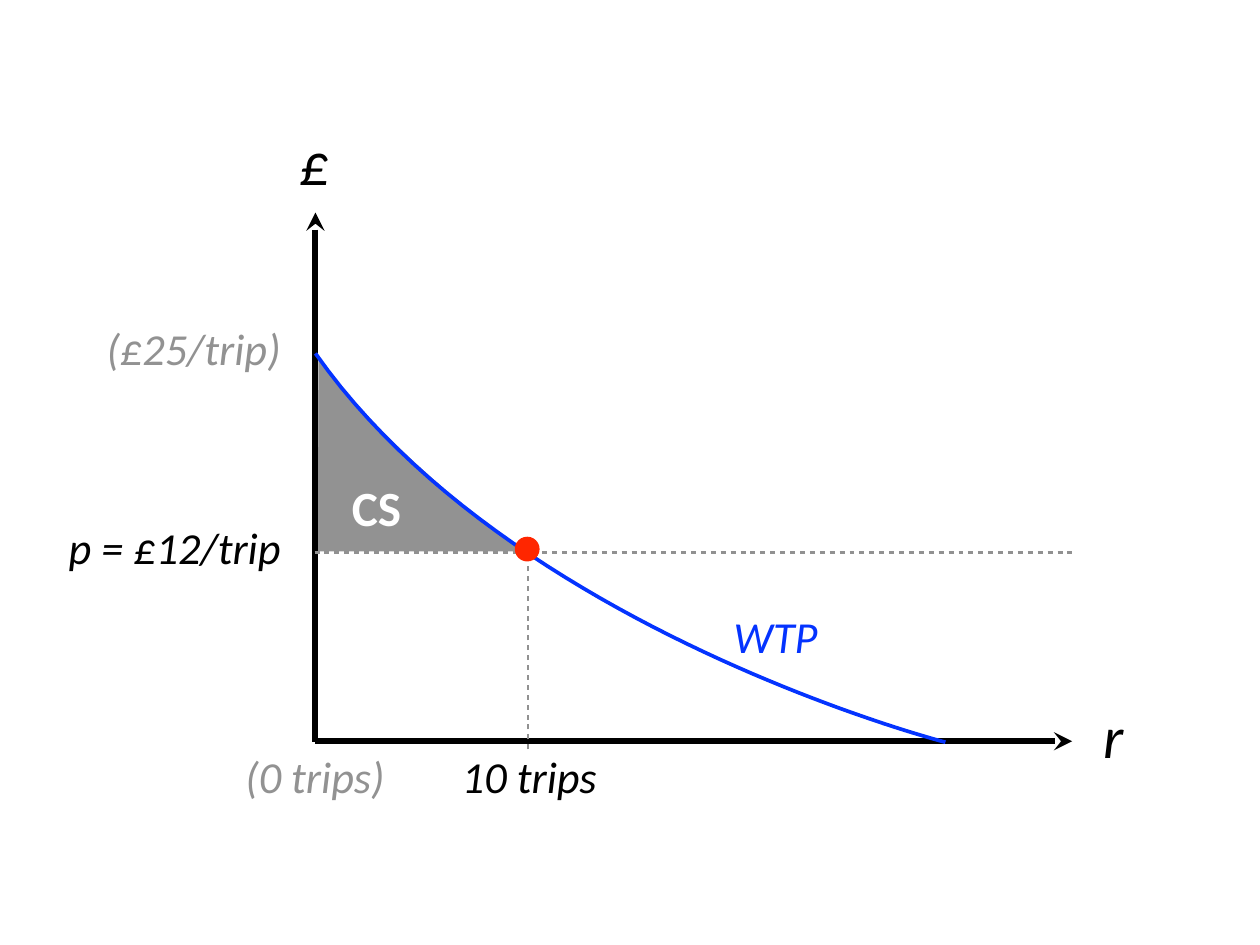
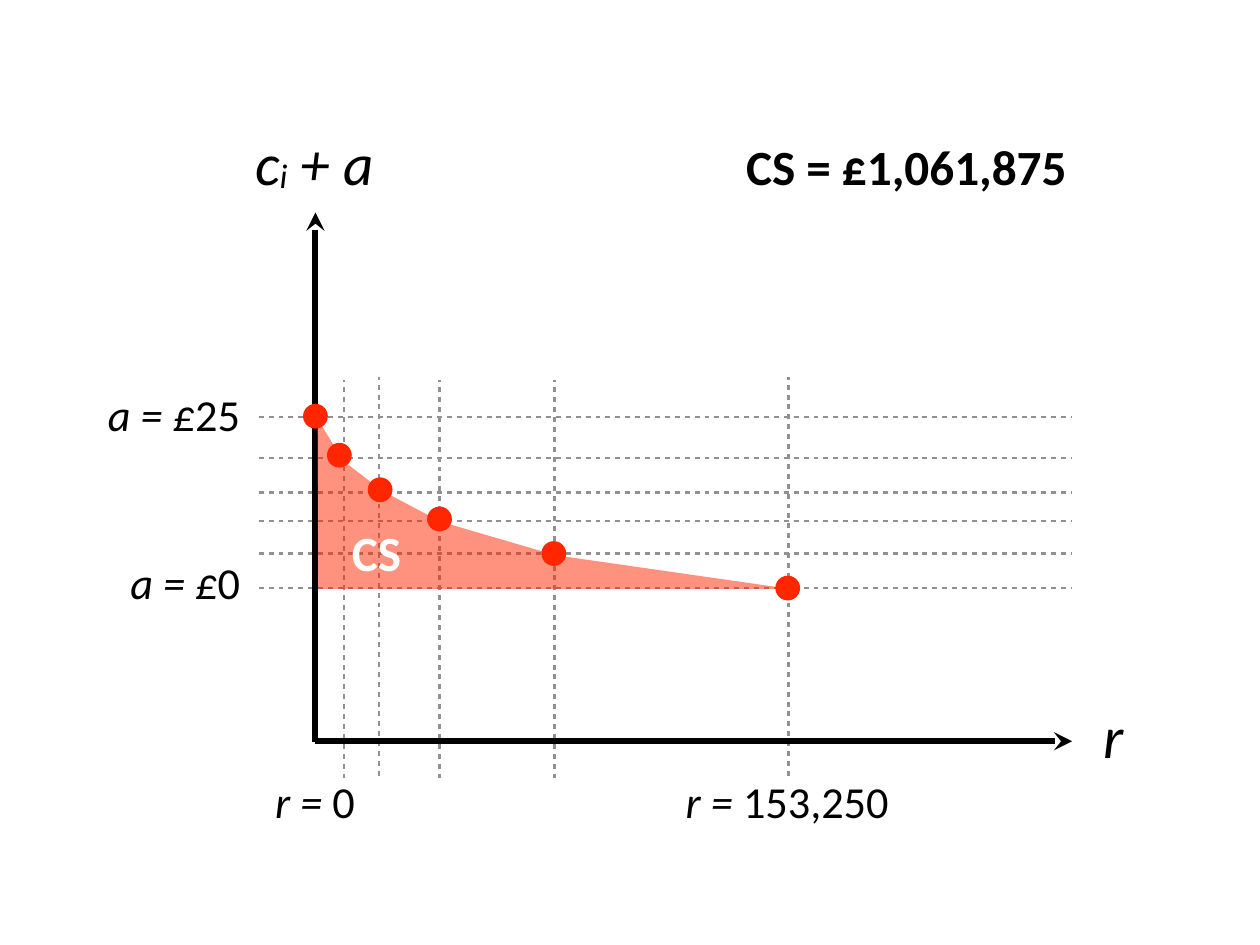
"""Builds two slides on consumer surplus under a demand curve."""
from dataclasses import dataclass

from lxml import etree
from pptx import Presentation
from pptx.dml.color import RGBColor
from pptx.enum.shapes import MSO_CONNECTOR, MSO_SHAPE
from pptx.enum.text import MSO_ANCHOR, PP_ALIGN
from pptx.oxml.ns import qn
from pptx.util import Pt

PX = 9144
STRAIGHT = MSO_CONNECTOR.STRAIGHT
OVAL = MSO_SHAPE.OVAL
MIDDLE = MSO_ANCHOR.MIDDLE
LEFT, CENTER, RIGHT = PP_ALIGN.LEFT, PP_ALIGN.CENTER, PP_ALIGN.RIGHT


@dataclass(frozen=True)
class Theme:
    font: str = "Calibri"
    black: str = "000000"
    white: str = "FFFFFF"
    gray: str = "929292"
    guide: str = "919191"
    blue: str = "0433FF"
    red: str = "FF2600"
    label: int = 36
    strong: int = 40
    axis: int = 48
    guide_w: int = 2
    curve_w: int = 3
    axis_w: int = 5


T = Theme()
UPRIGHT = {"italic": False}
AXIS = {"size": Pt(T.axis)}
STRONG = {"size": Pt(T.strong), "bold": True, "italic": False}

ORIGIN_X, ORIGIN_Y = 356, 837
AXIS_TOP, AXIS_RIGHT = 240, 1210
DOT = 28

WTP_CURVE = [(356, 399), (576, 712), (1067, 838), (1067, 838)]
SURPLUS_EDGE = [(358, 399), (358, 399), (424, 498), (594, 624)]
SURPLUS_CORNER = (357, 624)

DEMAND_DOTS = [(889, 664), (356, 470), (625, 625), (496, 586), (429, 553), (383, 514)]
DEMAND_AREA = [(358, 472), (387, 520), (431, 554), (497, 589), (627, 627),
               (892, 665), (359, 665)]
TRIP_GUIDES = [(890, 426), (626, 429), (496, 429), (428, 426), (388, 429)]
FEE_GUIDES = [664, 471, 517, 556, 588, 625]
GUIDE_LEFT, GUIDE_HEIGHT = 292, 450


def emu(*values):
    """Turn px lengths into EMU."""
    return [round(v * PX) for v in values]


def rgb(value):
    """Turn a hex string into a colour."""
    return RGBColor.from_string(value)


def add_ln_child(sp, tag, **attrs):
    """Append an element to the outline of a shape."""
    return etree.SubElement(sp.line._get_or_add_ln(), qn(tag), attrs)


def add_line(s, start, end, color, width):
    """Draw a straight line without a shadow."""
    sp = s.shapes.add_connector(STRAIGHT, *emu(*start, *end))
    sp.line.color.rgb = rgb(color)
    sp.line.width = Pt(width)
    etree.SubElement(sp._element.spPr, qn("a:effectLst"))
    return sp


def add_guide(s, start, end):
    """Draw a dashed guide line."""
    sp = add_line(s, start, end, T.guide, T.guide_w)
    dash = add_ln_child(sp, "a:custDash")
    etree.SubElement(dash, qn("a:ds"), d="200000", sp="200000")


def add_text(s, box, runs, align=CENTER, color=T.black, spacing=0.8, wrap=True, **base):
    """Write one paragraph made of (text, format) runs."""
    sp = s.shapes.add_textbox(*emu(*box))
    tf = sp.text_frame
    margins = {f"margin_{side}": PX * 6 for side in ("left", "top", "right", "bottom")}
    for name, value in {**margins, "vertical_anchor": MIDDLE, "word_wrap": wrap}.items():
        setattr(tf, name, value)
    p = tf.paragraphs[0]
    p.alignment = align
    p.line_spacing = spacing
    for text, changes in runs:
        r = p.add_run()
        r.text = text
        r.font.color.rgb = rgb(color)
        fmt = {"name": T.font, "size": Pt(T.label), "italic": True, **base, **changes}
        baseline = fmt.pop("baseline", None)
        for name, value in fmt.items():
            setattr(r.font, name, value)
        if baseline:
            r._r.get_or_add_rPr().set("baseline", baseline)


def add_label(s, box, text, *tail, **fmt):
    """Write an italic label, with an upright tail if given."""
    add_text(s, box, [(text, {})] + [(part, UPRIGHT) for part in tail], **fmt)


def add_freeform(s, points, close, fill=None, alpha=None, line=None, width=0):
    """Draw an outline through px points."""
    pts = [tuple(emu(*point)) for point in points]
    builder = s.shapes.build_freeform(*pts[0])
    builder.add_line_segments(pts[1:], close=close)
    sp = builder.convert_to_shape()
    sp.shadow.inherit = False
    if fill:
        sp.fill.solid()
        sp.fill.fore_color.rgb = rgb(fill)
    else:
        sp.fill.background()
    if alpha:
        color = sp._element.spPr.find(qn("a:solidFill"))[0]
        etree.SubElement(color, qn("a:alpha"), val=str(alpha * 1000))
    if line:
        sp.line.color.rgb = rgb(line)
        sp.line.width = Pt(width)
    else:
        sp.line.fill.background()


def bezier(controls, steps=48):
    """Sample a cubic curve."""
    points = []
    for i in range(steps + 1):
        t = i / steps
        weights = ((1 - t) ** 3, 3 * t * (1 - t) ** 2, 3 * t * t * (1 - t), t ** 3)
        points.append(tuple(sum(w * c[k] for w, c in zip(weights, controls)) for k in (0, 1)))
    return points


def add_dot(s, x, y):
    """Mark a point with a red dot."""
    sp = s.shapes.add_shape(OVAL, *emu(x - DOT / 2, y - DOT / 2, DOT, DOT))
    sp.shadow.inherit = False
    sp.fill.solid()
    sp.fill.fore_color.rgb = rgb(T.red)
    sp.line.fill.background()


def add_axes(s, y_runs, y_width):
    """Draw both axes with their names."""
    for tip, foot in (((ORIGIN_X, AXIS_TOP), (ORIGIN_X, ORIGIN_Y + 1)),
                      ((AXIS_RIGHT, ORIGIN_Y), (ORIGIN_X, ORIGIN_Y))):
        sp = add_line(s, tip, foot, T.black, T.axis_w)
        add_ln_child(sp, "a:headEnd", type="stealth", w="med", len="med")
    add_text(s, (ORIGIN_X - 1 - y_width / 2, 151, y_width, 78), y_runs, **AXIS)
    add_label(s, (1239, 798, 89, 78), "r", align=LEFT, **AXIS)


def add_surplus_label(s, y):
    """Name the surplus area."""
    add_label(s, (387, y, 76, 67), "CS", color=T.white, spacing=1.0, wrap=False, **STRONG)


def build_single_trip(s):
    """Surplus of one visitor above the price paid."""
    add_freeform(s, bezier(SURPLUS_EDGE) + [SURPLUS_CORNER], True,
                 fill=T.gray, line=T.white, width=T.guide_w)
    add_surplus_label(s, 539)
    add_axes(s, [("£", {})], 126)
    add_label(s, (507, 851, 181, 61), "10 trips")
    add_freeform(s, bezier(WTP_CURVE), False, line=T.blue, width=T.curve_w)
    add_guide(s, (596, 846), (596, 623))
    add_label(s, (61, 592, 262, 61), "p = £12/trip", align=RIGHT)
    add_label(s, (94, 368, 229, 61), "(£25/trip)", align=RIGHT, color=T.gray)
    add_label(s, (265, 851, 181, 61), "(0 trips)", color=T.gray)
    add_guide(s, (355, 624), (AXIS_RIGHT, 624))
    add_dot(s, 595, 620)
    add_label(s, (822, 693, 262, 61), "WTP", align=LEFT, color=T.blue)


def build_all_trips(s):
    """Total surplus under the stepwise demand curve."""
    for x, top in TRIP_GUIDES:
        add_guide(s, (x, top + GUIDE_HEIGHT), (x, top))
    for y in FEE_GUIDES:
        add_guide(s, (GUIDE_LEFT, y), (AXIS_RIGHT, y))
    add_axes(s, [("c", {}), ("i", {"baseline": "-6000"}), (" + a", {})], 193)
    for y, fee in ((632, "0"), (442, "25")):
        add_label(s, (96, y, 181, 61), "a = £", fee, align=RIGHT)
    for x, width, trips in ((740, 297, "153,250"), (296, 119, "0")):
        add_label(s, (x, 879, width, 61), "r = ", trips)
    for x, y in DEMAND_DOTS:
        add_dot(s, x, y)
    add_freeform(s, DEMAND_AREA, True, fill=T.red, alpha=50)
    add_surplus_label(s, 590)
    add_label(s, (833, 161, 377, 66), "CS = £1,061,875", align=RIGHT, wrap=False, **STRONG)


def main():
    """Build and save the presentation."""
    prs = Presentation()
    prs.slide_width, prs.slide_height = emu(1422, 1067)
    for build in (build_single_trip, build_all_trips):
        build(prs.slides.add_slide(prs.slide_layouts[6]))
    prs.save("out.pptx")


if __name__ == "__main__":
    main()
